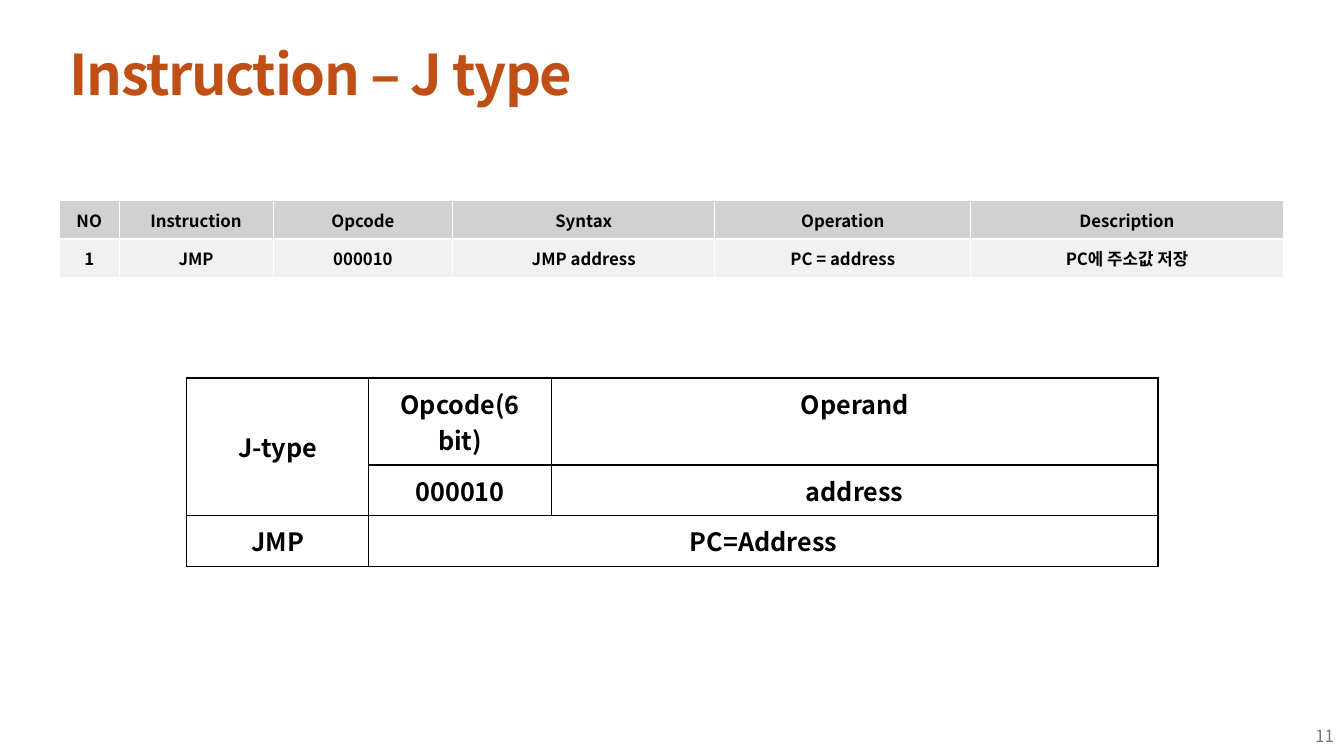
from lxml import etree
from pptx import Presentation
from pptx.dml.color import RGBColor
from pptx.enum.text import MSO_ANCHOR, MSO_AUTO_SIZE, PP_ALIGN
from pptx.oxml.ns import qn
from pptx.util import Pt

LEFT, MID, RIGHT = PP_ALIGN.LEFT, PP_ALIGN.CENTER, PP_ALIGN.RIGHT
TOP, CENTER = MSO_ANCHOR.TOP, MSO_ANCHOR.MIDDLE
NONE = MSO_AUTO_SIZE.NONE
FONT = "Noto Sans CJK KR"
BLACK = RGBColor(0, 0, 0)
WHITE = RGBColor(255, 255, 255)
RUST = RGBColor(0xC0, 0x4F, 0x15)
GRAY = RGBColor(0x79, 0x79, 0x79)
SILVER = RGBColor(0xD1, 0xD1, 0xD1)


def write(frame, text, size=12, color=BLACK, bold=True, align=MID, space=None):
    para = frame.paragraphs[0]
    para.alignment = align
    run = para.add_run()
    run.text = text
    font = run.font
    font.size, font.bold, font.name = Pt(size), bold, FONT
    font.color.rgb = color
    props = run._r.get_or_add_rPr()
    etree.SubElement(props, qn("a:ea"), typeface=FONT)
    if space:
        props.set("spc", str(space))


def edge(cell, color, **widths):
    """Draw the cell's borders; widths holds L, R, T and B in points."""
    props = cell._tc.get_or_add_tcPr()
    for side, width in widths.items():
        line = etree.SubElement(props, qn(f"a:ln{side}"), w=str(Pt(width)))
        fill = etree.SubElement(line, qn("a:solidFill"))
        etree.SubElement(fill, qn("a:srgbClr"), val=str(color))


deck = Presentation()
deck.slide_width, deck.slide_height = Pt(960), Pt(540)
slide = deck.slides.add_slide(deck.slide_layouts[5])

# Title and page number
title = slide.shapes.title
title.left, title.top, title.width, title.height = Pt(42.5), Pt(20.2), Pt(804.2), Pt(70.6)
frame = title.text_frame
frame.auto_size, frame.vertical_anchor = NONE, CENTER
write(frame, "Instruction – J type", size=40, color=RUST, align=LEFT, space=-100)
frame.paragraphs[0].line_spacing = 0.9

page = slide.shapes.add_textbox(Pt(744), Pt(511.2), Pt(216), Pt(28.8)).text_frame
page.word_wrap, page.vertical_anchor = True, CENTER
write(page, "11", color=GRAY, bold=False, align=RIGHT)

# Both tables: place, column widths, row heights, text size and rows of text
LIST = [
    ["NO", "Instruction", "Opcode", "Syntax", "Operation", "Description"],
    ["1", "JMP", "000010", "JMP address", "PC = address", "PC에 주소값 저장"],
]
FORMAT = [
    ["J-type", "Opcode(6 bit)", "Operand"],
    ["", "000010", "address"],
    ["JMP", "PC=Address", ""],
]
plans = [
    (42.5, 143.3, [42.5, 110.2, 128.2, 187.2, 182.9, 223.2], [27.4, 27.4], 12, LIST),
    (133.2, 270, [130.3, 130.3, 433.4], [62.2, 36.1, 36.1], 18, FORMAT),
]
tables = []
for left, top, widths, heights, size, rows in plans:
    table = slide.shapes.add_table(
        len(rows), len(widths), Pt(left), Pt(top), Pt(sum(widths)), Pt(sum(heights))
    ).table
    table.first_row = table.horz_banding = False
    for col, width in zip(table.columns, widths):
        col.width = Pt(width)
    for r, row in enumerate(rows):
        table.rows[r].height = Pt(heights[r])
        for c, text in enumerate(row):
            cell = table.cell(r, c)
            cell.margin_left = cell.margin_right = Pt(5)
            cell.margin_top = cell.margin_bottom = Pt(5)
            cell.vertical_anchor = TOP
            if text:
                write(cell.text_frame, text, size=size)
    tables.append(table)
list_table, form_table = tables

# Instruction list: gray header over a pale row
for r in range(2):
    for cell in list_table.rows[r].cells:
        cell.vertical_anchor = CENTER
        edge(cell, WHITE, L=0.75, R=0.75, T=1.5 if r else 0.75, B=0.75 if r else 1.5)
        cell.fill.solid()
        cell.fill.fore_color.rgb = SILVER
        if r:
            tint = cell._tc.tcPr.find(qn("a:solidFill"))[0]
            etree.SubElement(tint, qn("a:alpha"), val="30000")

# Instruction format: plain grid with two merged areas
for cell in form_table.iter_cells():
    edge(cell, BLACK, L=1, R=1, T=1, B=1)
    cell.fill.background()
form_table.cell(0, 0).vertical_anchor = CENTER
form_table.cell(0, 0).merge(form_table.cell(1, 0))
form_table.cell(2, 1).merge(form_table.cell(2, 2))

deck.save("out.pptx")
